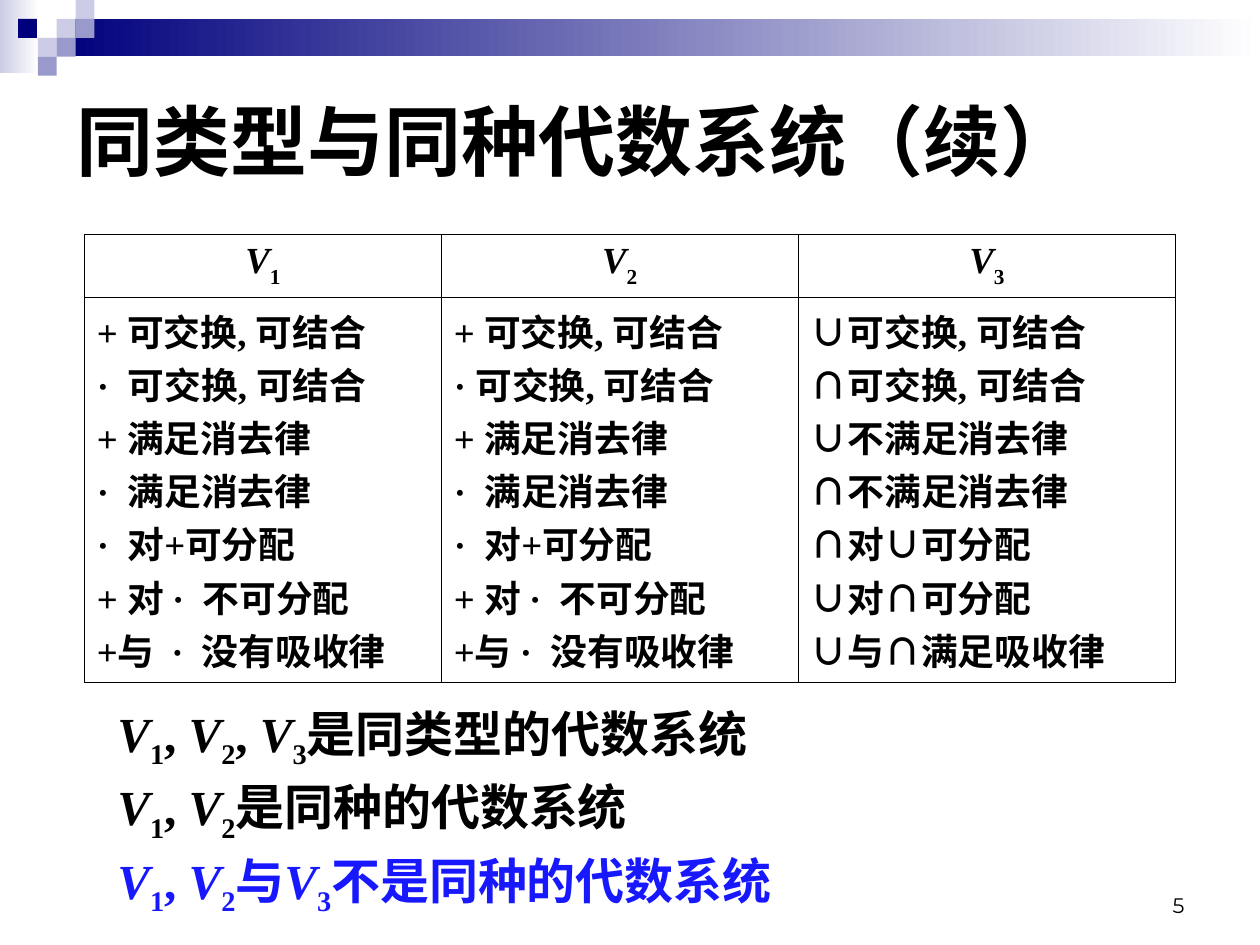
from itertools import groupby

from lxml.etree import SubElement
from pptx import Presentation
from pptx.dml.color import RGBColor
from pptx.enum.shapes import MSO_SHAPE
from pptx.enum.text import MSO_ANCHOR, PP_ALIGN
from pptx.oxml.ns import qn
from pptx.util import Pt

# Content
TITLE = "同类型与同种代数系统（续）"
PAGE = "5"
COLUMNS = {
    "V1": ["+ 可交换, 可结合", "·  可交换, 可结合", "+ 满足消去律", "·  满足消去律",
           "·  对+可分配", "+ 对 ·  不可分配", "+与  ·  没有吸收律"],
    "V2": ["+ 可交换, 可结合", "· 可交换, 可结合", "+ 满足消去律", "·  满足消去律",
           "·  对+可分配", "+ 对 ·  不可分配", "+与 ·  没有吸收律"],
    "V3": ["∪可交换, 可结合", "∩可交换, 可结合", "∪不满足消去律", "∩不满足消去律",
           "∩对∪可分配", "∪对∩可分配", "∪与∩满足吸收律"],
}
CONCLUSIONS = [
    ("V1, V2, V3是同类型的代数系统", "black"),
    ("V1, V2是同种的代数系统", "black"),
    ("V1, V2与V3不是同种的代数系统", "blue"),
]
COLORS = {"black": "000000", "blue": "1818FF", "white": "FFFFFF",
          "navy": "00007D", "lilac": "9999CC", "pale": "CCCCE6"}

# Layout, in points
COL_WIDTHS = [204, 204, 215.5]
ROW_HEIGHTS = [36, 208.8]
TILE = 10.8
TILES = [(32.4, 10.8, "pale"), (43.2, 0, "pale"), (43.2, 10.8, "lilac"),
         (21.6, 21.6, "pale"), (10.3, 10.8, "navy"), (32.4, 21.6, "lilac"),
         (21.6, 32.4, "lilac")]
BANDS = [(0, 0, 22.3, 41.8, "pale"), (32.4, 10.8, 687.6, 21.4, "navy")]


def rgb(name):
    return RGBColor.from_string(COLORS[name])


def set_font(p, name, size, color="black", bold=True):
    p.font.name, p.font.size, p.font.bold = name, Pt(size), bold
    p.font.color.rgb = rgb(color)


def add_symbols(p, text, baseline):
    """Write V in italics and digits as subscripts."""
    def kind(ch):
        return "var" if ch == "V" else "sub" if ch.isdigit() else "text"

    for style, chars in groupby(text, kind):
        r = p.add_run()
        r.text = "".join(chars)
        if style == "var":
            r.font.italic = True
        elif style == "sub":
            r.font._element.set("baseline", str(baseline * 1000))


def add_block(s, x, y, w, h):
    sp = s.shapes.add_shape(MSO_SHAPE.RECTANGLE, Pt(x), Pt(y), Pt(w), Pt(h))
    sp.shadow.inherit = False
    sp.line.fill.background()
    return sp


def set_borders(cell):
    tc_pr = cell._tc.get_or_add_tcPr()
    for i, side in enumerate(("lnL", "lnR", "lnT", "lnB")):
        ln = tc_pr.makeelement(qn(f"a:{side}"), {"w": str(Pt(0.45))})
        fill = SubElement(ln, qn("a:solidFill"))
        SubElement(fill, qn("a:srgbClr"), val=COLORS["black"])
        tc_pr.insert(i, ln)


def fill_cell(cell, lines, align):
    cell.fill.solid()
    cell.fill.fore_color.rgb = rgb("white")
    set_borders(cell)
    tf = cell.text_frame
    for i, line in enumerate(lines):
        p = tf.add_paragraph() if i else tf.paragraphs[0]
        p.alignment = align
        set_font(p, "Times New Roman", 21)
        p_pr = p._p.get_or_add_pPr()
        p_pr.set("marL", str(Pt(27)))
        p_pr.set("indent", str(Pt(-27)))
        add_symbols(p, line, -30)


def main():
    prs = Presentation()
    prs.slide_width, prs.slide_height = Pt(720), Pt(540)
    s = prs.slides.add_slide(prs.slide_layouts[5])

    # Header decoration
    for x, y, w, h, color in BANDS:
        fill = add_block(s, x, y, w, h).fill
        fill.gradient()
        fill.gradient_angle = 0
        for stop, shade, pos in zip(fill.gradient_stops, (color, "white"), (0, 1)):
            stop.color.rgb, stop.position = rgb(shade), pos
    for x, y, color in TILES:
        fill = add_block(s, x, y, TILE, TILE).fill
        fill.solid()
        fill.fore_color.rgb = rgb(color)

    # Title
    title = s.shapes.title
    title.left, title.top, title.width, title.height = Pt(36.7), Pt(26), Pt(648), Pt(108)
    tf = title.text_frame
    tf.text = TITLE
    tf.vertical_anchor = MSO_ANCHOR.MIDDLE
    tf.paragraphs[0].alignment = PP_ALIGN.LEFT
    set_font(tf.paragraphs[0], "Arial", 44)

    # Table of properties
    table = s.shapes.add_table(2, len(COLUMNS), Pt(48.2), Pt(134), Pt(sum(COL_WIDTHS)),
                               Pt(sum(ROW_HEIGHTS))).table
    table.horz_banding = False
    for row, height in zip(table.rows, ROW_HEIGHTS):
        row.height = Pt(height)
    for c, (name, laws) in enumerate(COLUMNS.items()):
        table.columns[c].width = Pt(COL_WIDTHS[c])
        fill_cell(table.cell(0, c), [name], PP_ALIGN.CENTER)
        fill_cell(table.cell(1, c), laws, PP_ALIGN.LEFT)

    # Conclusions
    tf = s.shapes.add_textbox(Pt(60), Pt(394.6), Pt(601), Pt(133)).text_frame
    tf.word_wrap = True
    for i, (line, color) in enumerate(CONCLUSIONS):
        p = tf.add_paragraph() if i else tf.paragraphs[0]
        p.line_spacing = 1.1
        set_font(p, "Times New Roman", 28, color)
        add_symbols(p, line, -25)

    # Page number
    tf = s.shapes.add_textbox(Pt(516), Pt(492), Pt(168), Pt(36)).text_frame
    tf.word_wrap = True
    tf.vertical_anchor = MSO_ANCHOR.BOTTOM
    p = tf.paragraphs[0]
    p.text, p.alignment = PAGE, PP_ALIGN.RIGHT
    set_font(p, "Montserrat", 12, bold=False)

    prs.save("out.pptx")


if __name__ == "__main__":
    main()
